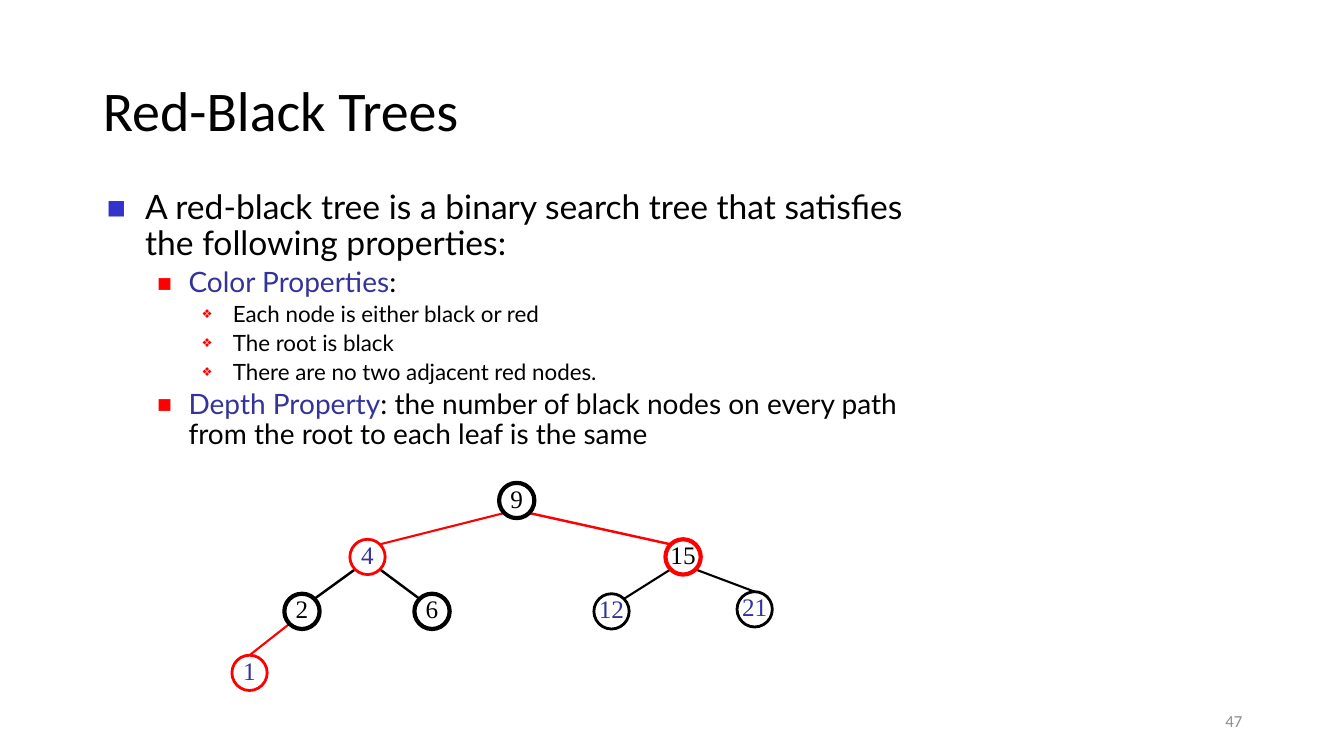
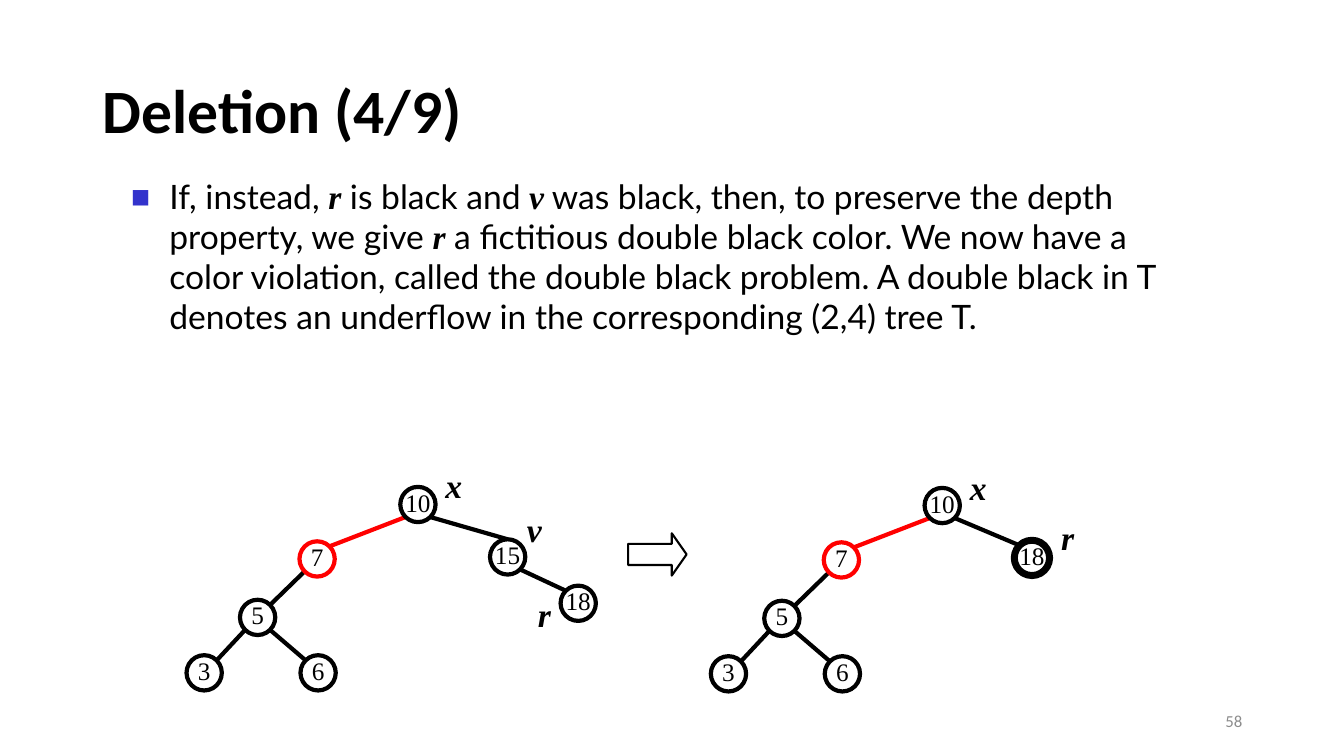
from dataclasses import dataclass, replace

import lxml.etree
import pptx
import pptx.dml.color
import pptx.enum.shapes
import pptx.enum.text
import pptx.oxml.ns
import pptx.slide
import pptx.text.text
import pptx.util

Inches = pptx.util.Inches
Pt = pptx.util.Pt
Shapes = pptx.enum.shapes.MSO_SHAPE
Align = pptx.enum.text.PP_ALIGN
Anchor = pptx.enum.text.MSO_ANCHOR
Fit = pptx.enum.text.MSO_AUTO_SIZE
qn = pptx.oxml.ns.qn

# Shared look
BLACK, WHITE, RED = "000000", "FFFFFF", "FF0000"
NAVY, BLUE, GRAY = "333399", "3333CC", "8C8C8C"
TITLE_FONT, BODY_FONT, MATH_FONT = "Calibri", "Lato", "Times New Roman"
NODE_SIZE = 0.35
NODE_CORNER = 0.05  # inset of a circle's diagonal points from its box

Box = tuple[float, float, float, float]
TITLE_BOX: Box = (0.92, 0.4, 11.5, 1.45)
NUMBER_BOX: Box = (9.42, 6.95, 3, 0.4)


@dataclass(frozen=True)
class Level:
    size: float
    margin: float
    hanging: float
    bullet: str
    bullet_color: str
    bullet_percent: int


LEVELS = [
    Level(24, 0.38, 0.38, "■", BLUE, 60),
    Level(20, 0.81, 0.31, "■", RED, 55),
    Level(16, 1.25, 0.31, "❖", RED, 55),
]


@dataclass(frozen=True)
class Words:
    text: str
    color: str = BLACK
    variable: bool = False


@dataclass(frozen=True)
class Item:
    level: int
    words: list[Words]


@dataclass(frozen=True)
class Node:
    key: str
    left: float
    top: float
    line: str = BLACK
    width: float = 3
    color: str = BLACK


@dataclass(frozen=True)
class Edge:
    parent: str
    child: str
    color: str = BLACK
    width: float = 3
    to_top: bool = False  # ends at the top of the child, not at its corner


@dataclass(frozen=True)
class Label:
    text: str
    left: float
    top: float
    width: float


# Drawing functions
def rgb(color: str) -> pptx.dml.color.RGBColor:
    return pptx.dml.color.RGBColor.from_string(color)


def inches(box: Box) -> list[pptx.util.Length]:
    return [Inches(length) for length in box]


def style(font: pptx.text.text.Font, size: float, name: str, color: str,
          bold: bool = False, italic: bool = False) -> None:
    font.size, font.name = Pt(size), name
    font.bold, font.italic = bold, italic
    font.color.rgb = rgb(color)


def place(shape, box: Box) -> None:
    shape.left, shape.top, shape.width, shape.height = inches(box)


def add_bullet(paragraph, level: Level) -> None:
    properties = paragraph._p.get_or_add_pPr()
    properties.set("marL", str(Inches(level.margin)))
    properties.set("indent", str(-Inches(level.hanging)))
    color = lxml.etree.SubElement(properties, qn("a:buClr"))
    lxml.etree.SubElement(color, qn("a:srgbClr"), val=level.bullet_color)
    lxml.etree.SubElement(properties, qn("a:buSzPct"),
                          val=str(level.bullet_percent * 1000))
    lxml.etree.SubElement(properties, qn("a:buFont"), typeface=BODY_FONT)
    lxml.etree.SubElement(properties, qn("a:buChar"), char=level.bullet)


def add_page(deck, title: str, size: float, bold: bool, number: str) -> pptx.slide.Slide:
    slide = deck.slides.add_slide(deck.slide_layouts[1])
    heading = slide.shapes.title
    place(heading, TITLE_BOX)
    frame = heading.text_frame
    frame.text = title
    frame.auto_size, frame.vertical_anchor = Fit.NONE, Anchor.MIDDLE
    paragraph = frame.paragraphs[0]
    paragraph.alignment, paragraph.line_spacing = Align.LEFT, 0.9
    style(paragraph.runs[0].font, size, TITLE_FONT, BLACK, bold)

    footer = slide.shapes.add_textbox(*inches(NUMBER_BOX)).text_frame
    footer.text = number
    footer.word_wrap, footer.vertical_anchor = True, Anchor.MIDDLE
    footer.paragraphs[0].alignment = Align.RIGHT
    style(footer.paragraphs[0].runs[0].font, 12, TITLE_FONT, GRAY)
    return slide


def add_list(slide: pptx.slide.Slide, box: Box, items: list[Item], spacing: float) -> None:
    body = slide.placeholders[1]
    place(body, box)
    frame = body.text_frame
    frame.auto_size, frame.vertical_anchor = Fit.NONE, Anchor.TOP
    for index, item in enumerate(items):
        paragraph = frame.add_paragraph() if index else frame.paragraphs[0]
        level = LEVELS[item.level]
        paragraph.level = item.level
        paragraph.alignment, paragraph.line_spacing = Align.LEFT, spacing
        add_bullet(paragraph, level)
        for words in item.words:
            run = paragraph.add_run()
            run.text = words.text
            style(run.font, level.size, MATH_FONT if words.variable else BODY_FONT,
                  words.color, words.variable, words.variable)


def add_edge(slide: pptx.slide.Slide, parent: Node, child: Node, edge: Edge) -> None:
    near, far = NODE_CORNER, NODE_SIZE - NODE_CORNER
    child_is_left = child.left < parent.left
    start_x = parent.left + (near if child_is_left else far)
    end_x = child.left + (far if child_is_left else near)
    end_y = child.top + near
    if edge.to_top:
        end_x, end_y = child.left + NODE_SIZE / 2, child.top
    line = slide.shapes.add_connector(
        pptx.enum.shapes.MSO_CONNECTOR.STRAIGHT,
        *inches((start_x, parent.top + far, end_x, end_y)))
    line.line.color.rgb = rgb(edge.color)
    line.line.width = Pt(edge.width)
    lxml.etree.SubElement(line._element.spPr, qn("a:effectLst"))


def add_node(slide: pptx.slide.Slide, node: Node) -> None:
    circle = slide.shapes.add_shape(
        Shapes.OVAL, *inches((node.left, node.top, NODE_SIZE, NODE_SIZE)))
    circle.shadow.inherit = False
    circle.fill.solid()
    circle.fill.fore_color.rgb = rgb(WHITE)
    circle.line.color.rgb = rgb(node.line)
    circle.line.width = Pt(node.width)
    frame = circle.text_frame
    frame.text = node.key
    frame.word_wrap, frame.vertical_anchor = False, Anchor.MIDDLE
    frame.margin_left = frame.margin_right = frame.margin_top = 0
    frame.margin_bottom = Inches(0.05)
    frame.paragraphs[0].alignment = Align.CENTER
    style(frame.paragraphs[0].runs[0].font, 18, MATH_FONT, node.color)


def add_tree(slide: pptx.slide.Slide, nodes: list[Node], edges: list[Edge]) -> None:
    by_key = {node.key: node for node in nodes}
    for edge in edges:
        add_edge(slide, by_key[edge.parent], by_key[edge.child], edge)
    for node in nodes:
        add_node(slide, node)


def add_label(slide: pptx.slide.Slide, label: Label) -> None:
    frame = slide.shapes.add_textbox(
        *inches((label.left, label.top, label.width, 0.5))).text_frame
    frame.text = label.text
    frame.word_wrap, frame.auto_size = True, Fit.SHAPE_TO_FIT_TEXT
    frame.paragraphs[0].alignment = Align.CENTER
    style(frame.paragraphs[0].runs[0].font, 24, MATH_FONT, BLACK, True, True)


deck = pptx.Presentation()
deck.slide_width, deck.slide_height = Inches(13.33), Inches(7.5)

# Slide 1: definition and example tree
definition = add_page(deck, "Red-Black Trees", 40, False, "47")
add_list(definition, (0.96, 1.84, 8.58, 2.72), [
    Item(0, [Words("A red-black tree is a binary search tree that satisfies "
                   "the following properties:")]),
    Item(1, [Words("Color Properties", NAVY), Words(": ")]),
    Item(2, [Words("Each node is either black or red")]),
    Item(2, [Words("The root is black")]),
    Item(2, [Words("There are no two adjacent red nodes.")]),
    Item(1, [Words("Depth Property", NAVY),
             Words(": the number of black nodes on every path from the root "
                   "to each leaf is the same")]),
], 0.9)
add_tree(definition, [
    Node("9", 4.95, 4.79),
    Node("4", 3.47, 5.35, RED, 2, NAVY),
    Node("15", 6.6, 5.35, RED),
    Node("2", 2.82, 5.89),
    Node("6", 4.11, 5.89),
    Node("12", 5.89, 5.89, BLACK, 2, NAVY),
    Node("21", 7.31, 5.87, BLACK, 2, NAVY),
    Node("1", 2.3, 6.5, RED, 2, NAVY),
], [
    Edge("9", "4", RED, 1.5),
    Edge("9", "15", RED, 1.75),
    Edge("4", "2", BLACK, 1.75),
    Edge("4", "6", BLACK, 1.75),
    Edge("15", "12", BLACK, 1.5),
    Edge("15", "21", BLACK, 1.5, True),
    Edge("2", "1", RED, 1.5, True),
])

# Slide 2: tree before and after the deletion
deletion = add_page(deck, "Deletion (4/9)", 44, True, "58")
add_list(deletion, (1.2, 1.69, 10.65, 2.09), [Item(0, [
    Words("If, instead, "), Words("r", variable=True),
    Words(" is black and"), Words(" v", variable=True),
    Words(" was black, then, to preserve the depth property, we give "),
    Words("r", variable=True),
    Words(" a fictitious double black color. We now have a color violation, "
          "called the double black problem. A double black in T denotes an "
          "underflow in the corresponding (2,4) tree T."),
])], 1.0)

kept_nodes = [
    Node("10", 3.97, 4.83),
    Node("7", 2.97, 5.37, RED),
    Node("5", 2.38, 5.95),
    Node("3", 1.85, 6.5),
    Node("6", 2.98, 6.5),
]
kept_edges = [Edge("10", "7", RED), Edge("7", "5"), Edge("5", "3"), Edge("5", "6")]
AFTER_RIGHT, AFTER_DOWN = 5.2, 0.01
moved_nodes = [replace(node, left=node.left + AFTER_RIGHT, top=node.top + AFTER_DOWN)
               for node in kept_nodes]

add_tree(deletion, kept_nodes + [Node("15", 4.86, 5.35), Node("18", 5.56, 5.81)],
         kept_edges + [Edge("10", "15", to_top=True), Edge("15", "18")])
add_tree(deletion, moved_nodes + [Node("18", 10.06, 5.36, width=5)],
         kept_edges + [Edge("10", "18")])

for label in [
    Label("x", 4.32, 4.56, 0.35),
    Label("v", 5.11, 5, 0.38),
    Label("r", 5.23, 5.84, 0.34),
    Label("x", 9.52, 4.58, 0.35),
    Label("r", 10.42, 5.08, 0.34),
]:
    add_label(deletion, label)

becomes = deletion.shapes.add_shape(Shapes.RIGHT_ARROW, *inches((6.23, 5.29, 0.58, 0.42)))
becomes.adjustments[0], becomes.adjustments[1] = 0.5, 0.35
becomes.shadow.inherit = False
becomes.fill.background()
becomes.line.color.rgb = rgb(BLACK)
becomes.line.width = Pt(1.5)

deck.save("out.pptx")
